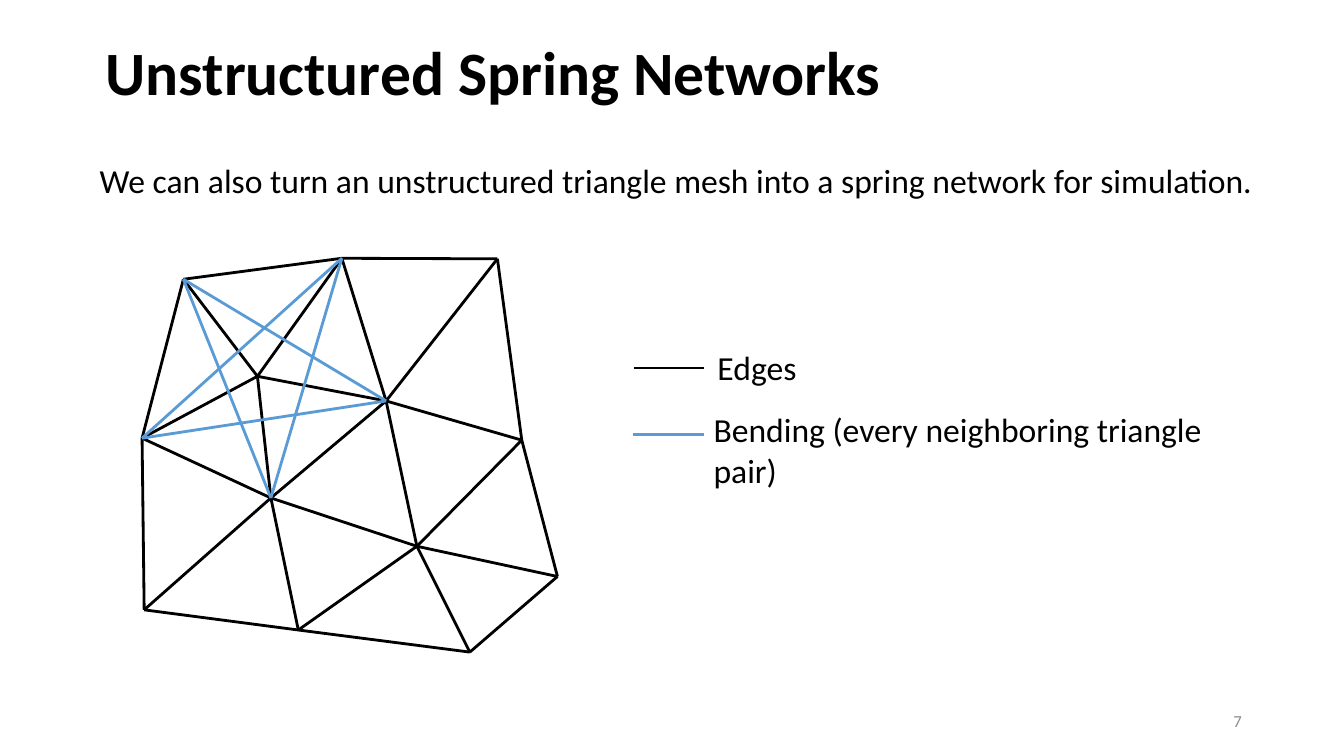
from dataclasses import dataclass
from typing import NamedTuple

from lxml.etree import SubElement
from pptx import Presentation
from pptx.dml.color import RGBColor as RGB
from pptx.enum.shapes import MSO_CONNECTOR as CONN
from pptx.enum.text import MSO_ANCHOR as ANCHOR, PP_ALIGN as ALIGN
from pptx.oxml.ns import qn
from pptx.util import Pt


@dataclass(frozen=True)
class Theme:
    font: str = "Calibri"
    ink: RGB = RGB(0, 0, 0)
    bend: RGB = RGB(0x5B, 0x9B, 0xD5)
    muted: RGB = RGB(0x8C, 0x8C, 0x8C)
    title: float = 44
    body: float = 24
    small: float = 12
    stroke: float = 2


class Point(NamedTuple):
    x: float
    y: float


@dataclass(frozen=True)
class Label:
    text: str
    left: float
    top: float
    width: float
    height: float
    size: float
    color: RGB = Theme.ink
    bold: bool = False
    anchor: ANCHOR = ANCHOR.MIDDLE
    align: ALIGN = ALIGN.LEFT
    spacing: float = 1.0
    wrap: bool = True


class Spring(NamedTuple):
    start: Point
    end: Point
    color: RGB


THEME = Theme()

VERTICES = {
    "A": Point(131, 199.5), "B": Point(244.2, 184.5), "C": Point(355.3, 184.9),
    "D": Point(101.5, 313), "E": Point(183.9, 268.8), "F": Point(275.8, 286.4),
    "G": Point(372.7, 314.4), "H": Point(193.5, 355.7), "I": Point(297.8, 390.2),
    "J": Point(103, 435.6), "K": Point(213.1, 450), "L": Point(335.6, 465.8),
    "M": Point(398.2, 411.8),
}
EDGES = ("AE EF EH BE ED HJ HD DJ AD BA BF FH HK FI CF CB IH "
         "CG GF GI IK KJ LK IM GM ML IL").split()
BENDS = "AF DF HB DB AH".split()

LEGEND = [
    Spring(Point(452.9, 262.8), Point(502.6, 262.8), THEME.ink),
    Spring(Point(452.2, 310.3), Point(502.6, 310.3), THEME.bend),
]

LABELS = [
    Label("Unstructured Spring Networks", 68.4, 1.4, 828, 104.4, THEME.title,
          bold=True, spacing=0.9),
    Label("We can also turn an unstructured triangle mesh into a spring network "
          "for simulation.", 64.1, 88.6, 853.2, 84.2, THEME.body, spacing=0.9),
    Label("Edges", 505.4, 244.1, 71.3, 36, THEME.body, anchor=ANCHOR.TOP, wrap=False),
    Label("Bending (every neighboring triangle pair)", 502.6, 288.7, 400, 36,
          THEME.body, anchor=ANCHOR.TOP),
    Label("7", 678.2, 500.4, 216, 28.8, THEME.small, THEME.muted, align=ALIGN.RIGHT),
]


def add_label(shapes, label: Label) -> None:
    box = (label.left, label.top, label.width, label.height)
    tf = shapes.add_textbox(*map(Pt, box)).text_frame
    tf.word_wrap, tf.vertical_anchor = label.wrap, label.anchor
    p = tf.paragraphs[0]
    p.alignment, p.line_spacing = label.align, label.spacing
    r = p.add_run()
    r.text = label.text
    fmt = {"name": THEME.font, "size": Pt(label.size), "bold": label.bold}
    for key, value in fmt.items():
        setattr(r.font, key, value)
    r.font.color.rgb = label.color


def add_spring(shapes, spring: Spring) -> None:
    ends = (*spring.start, *spring.end)
    sp = shapes.add_connector(CONN.STRAIGHT, *map(Pt, ends))
    sp.line.width = Pt(THEME.stroke)
    sp.line.color.rgb = spring.color
    SubElement(sp._element.spPr, qn("a:effectLst"))


def mesh_springs(pairs: list[str], color: RGB) -> list[Spring]:
    return [Spring(VERTICES[a], VERTICES[b], color) for a, b in pairs]


def main() -> None:
    prs = Presentation()
    prs.slide_width, prs.slide_height = Pt(960), Pt(540)
    s = prs.slides.add_slide(prs.slide_layouts[6])
    for spring in (mesh_springs(EDGES, THEME.ink) + LEGEND
                   + mesh_springs(BENDS, THEME.bend)):
        add_spring(s.shapes, spring)
    for label in LABELS:
        add_label(s.shapes, label)
    prs.save("out.pptx")


if __name__ == "__main__":
    main()
